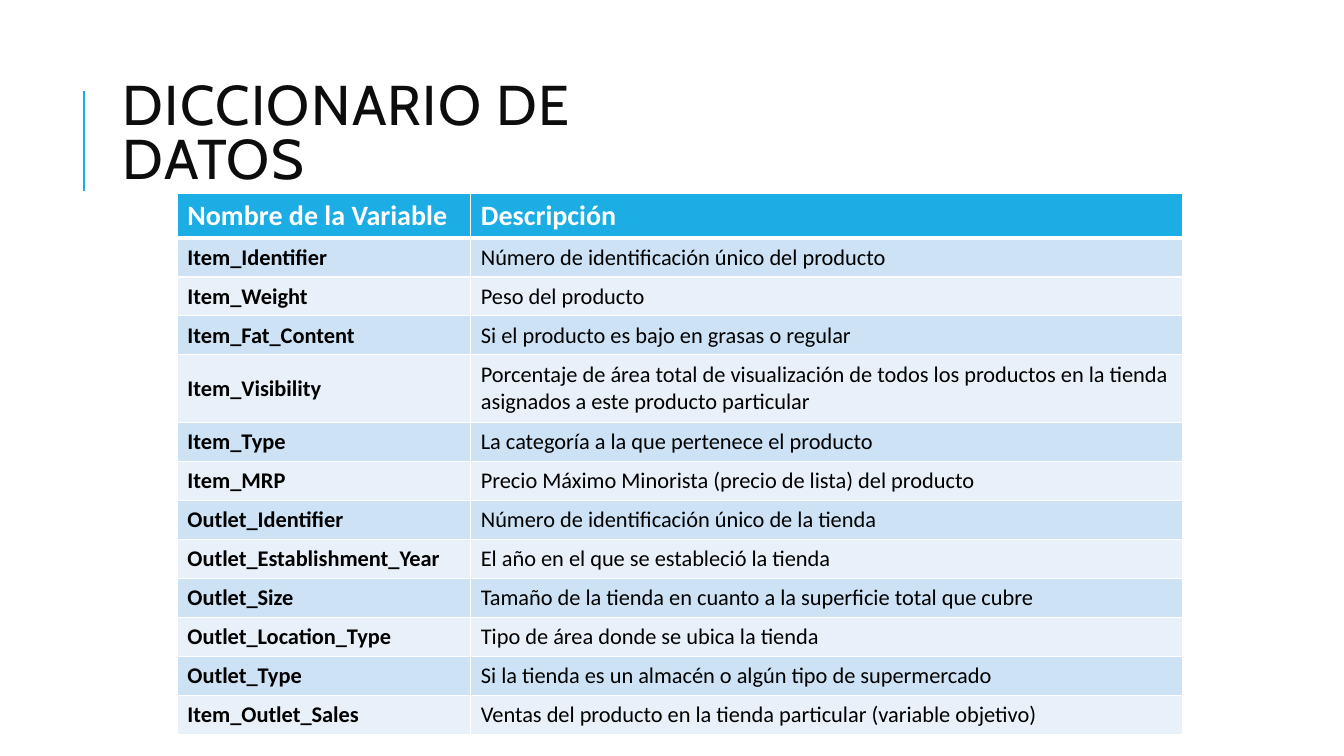
from lxml.etree import SubElement
from pptx import Presentation
from pptx.dml.color import RGBColor
from pptx.enum.shapes import MSO_CONNECTOR
from pptx.enum.text import MSO_ANCHOR, MSO_AUTO_SIZE, PP_ALIGN
from pptx.oxml.ns import qn
from pptx.util import Inches, Pt

WIDTH, HEIGHT = Inches(13.33), Inches(7.5)
TITLE_ONLY = 5
WHITE = RGBColor(0xFF, 0xFF, 0xFF)
BLACK = RGBColor(0x00, 0x00, 0x00)
INK = RGBColor(0x0D, 0x0D, 0x0D)
BLUE = RGBColor(0x1C, 0xAD, 0xE4)
BANDS = (RGBColor(0xCD, 0xE3, 0xF5), RGBColor(0xE8, 0xF1, 0xFA))

HEADER = ("Nombre de la Variable", "Descripción")
VARIABLES = [
    ("Item_Identifier", "Número de identificación único del producto"),
    ("Item_Weight", "Peso del producto"),
    ("Item_Fat_Content", "Si el producto es bajo en grasas o regular"),
    ("Item_Visibility", "Porcentaje de área total de visualización de todos los "
                        "productos en la tienda asignados a este producto particular"),
    ("Item_Type", "La categoría a la que pertenece el producto"),
    ("Item_MRP", "Precio Máximo Minorista (precio de lista) del producto"),
    ("Outlet_Identifier", "Número de identificación único de la tienda"),
    ("Outlet_Establishment_Year", "El año en el que se estableció la tienda"),
    ("Outlet_Size", "Tamaño de la tienda en cuanto a la superficie total que cubre"),
    ("Outlet_Location_Type", "Tipo de área donde se ubica la tienda"),
    ("Outlet_Type", "Si la tienda es un almacén o algún tipo de supermercado"),
    ("Item_Outlet_Sales", "Ventas del producto en la tienda particular (variable objetivo)"),
]
COLUMN_SHARES = (21.83, 52.96)
HEADER_SHARE, ROW_SHARE, TALL_ROW_SHARE = 5.47, 5.16, 8.93
TALL_ROW = "Item_Visibility"


def across(percent):
    return round(WIDTH * percent / 100)


def down(percent):
    return round(HEIGHT * percent / 100)


def add_span(para, text, font, size, color, bold=False):
    span = para.add_run()
    span.text = text
    span.font.name = font
    span.font.size = Pt(size)
    span.font.bold = bold
    span.font.color.rgb = color
    return span


def write_title(page, text):
    title = page.shapes.title
    title.left, title.top = across(8.4), down(5.33)
    title.width, title.height = across(36), down(25.33)
    frame = title.text_frame
    frame.word_wrap = True
    frame.auto_size = MSO_AUTO_SIZE.NONE
    frame.vertical_anchor = MSO_ANCHOR.MIDDLE
    para = frame.paragraphs[0]
    para.alignment = PP_ALIGN.LEFT
    para.line_spacing = 0.8
    span = add_span(para, text, "Cabin", 40, INK)
    span.font._element.set("spc", "100")


def add_title_rule(page):
    rule = page.shapes.add_connector(
        MSO_CONNECTOR.STRAIGHT, across(6.23), down(25.33), across(6.23), down(12))
    rule.line.color.rgb = BLUE
    rule.line.width = Pt(1.5)
    SubElement(rule._element.spPr, qn("a:effectLst"))


def add_borders(cell, bottom=1, top=1):
    properties = cell._tc.get_or_add_tcPr()
    for side, width in (("L", 1), ("R", 1), ("T", top), ("B", bottom)):
        line = SubElement(properties, qn(f"a:ln{side}"), w=str(Pt(width)))
        fill = SubElement(line, qn("a:solidFill"))
        SubElement(fill, qn("a:srgbClr"), val=str(WHITE))


def fill_cell(cell, text, size, color, bold, background, **borders):
    add_borders(cell, **borders)
    cell.fill.solid()
    cell.fill.fore_color.rgb = background
    cell.vertical_anchor = MSO_ANCHOR.MIDDLE
    add_span(cell.text_frame.paragraphs[0], text, "Calibri", size, color, bold)


def add_dictionary(page):
    heights = [HEADER_SHARE] + [
        TALL_ROW_SHARE if name == TALL_ROW else ROW_SHARE for name, _ in VARIABLES]
    table = page.shapes.add_table(
        len(heights), len(COLUMN_SHARES), across(13.2), down(25.6),
        across(sum(COLUMN_SHARES)), down(sum(heights))).table
    for column, share in zip(table.columns, COLUMN_SHARES):
        column.width = across(share)
    for row, share in zip(table.rows, heights):
        row.height = down(share)
    for column, text in enumerate(HEADER):
        fill_cell(table.cell(0, column), text, 20, WHITE, True, BLUE, bottom=3)
    for row, entry in enumerate(VARIABLES, start=1):
        for column, text in enumerate(entry):
            fill_cell(table.cell(row, column), text, 16, BLACK, column == 0,
                      BANDS[(row - 1) % 2], top=3 if row == 1 else 1)


def main():
    deck = Presentation()
    deck.slide_width, deck.slide_height = WIDTH, HEIGHT
    page = deck.slides.add_slide(deck.slide_layouts[TITLE_ONLY])
    add_title_rule(page)
    write_title(page, "DICCIONARIO DE DATOS")
    add_dictionary(page)
    deck.save("out.pptx")


if __name__ == "__main__":
    main()
